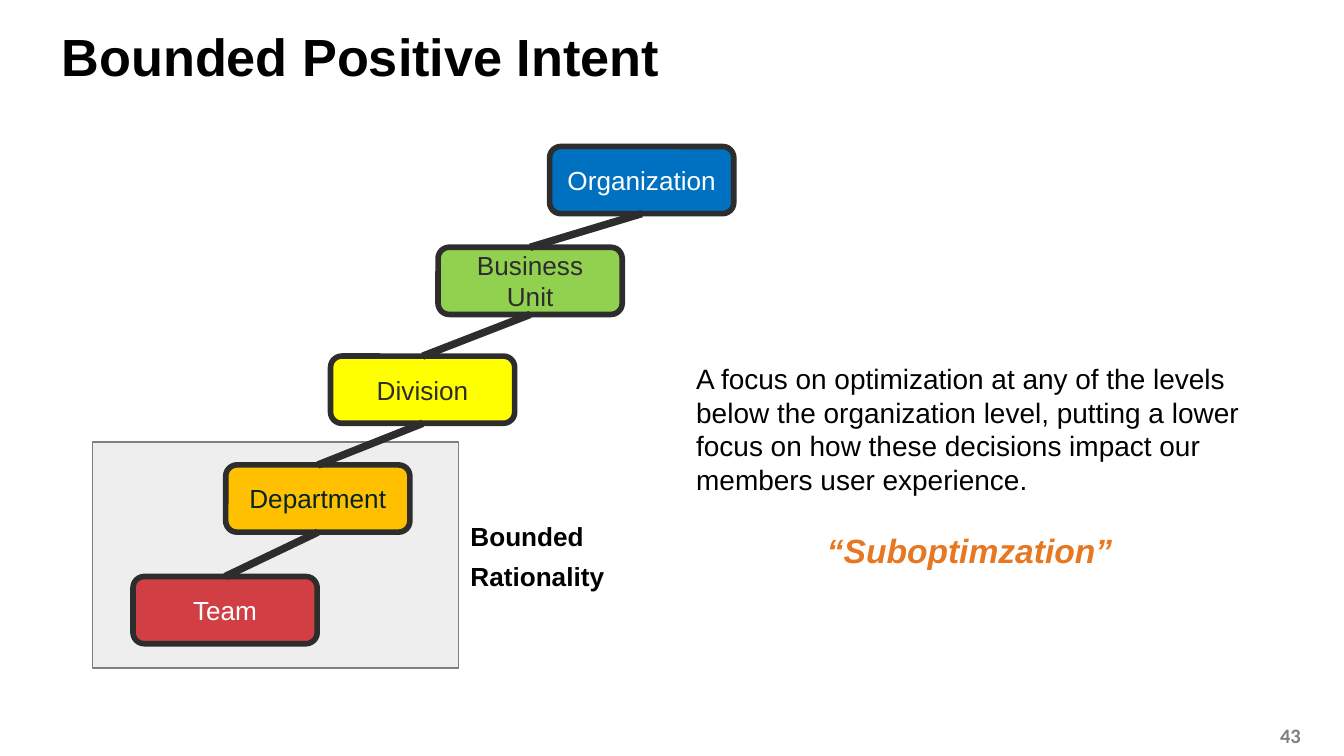
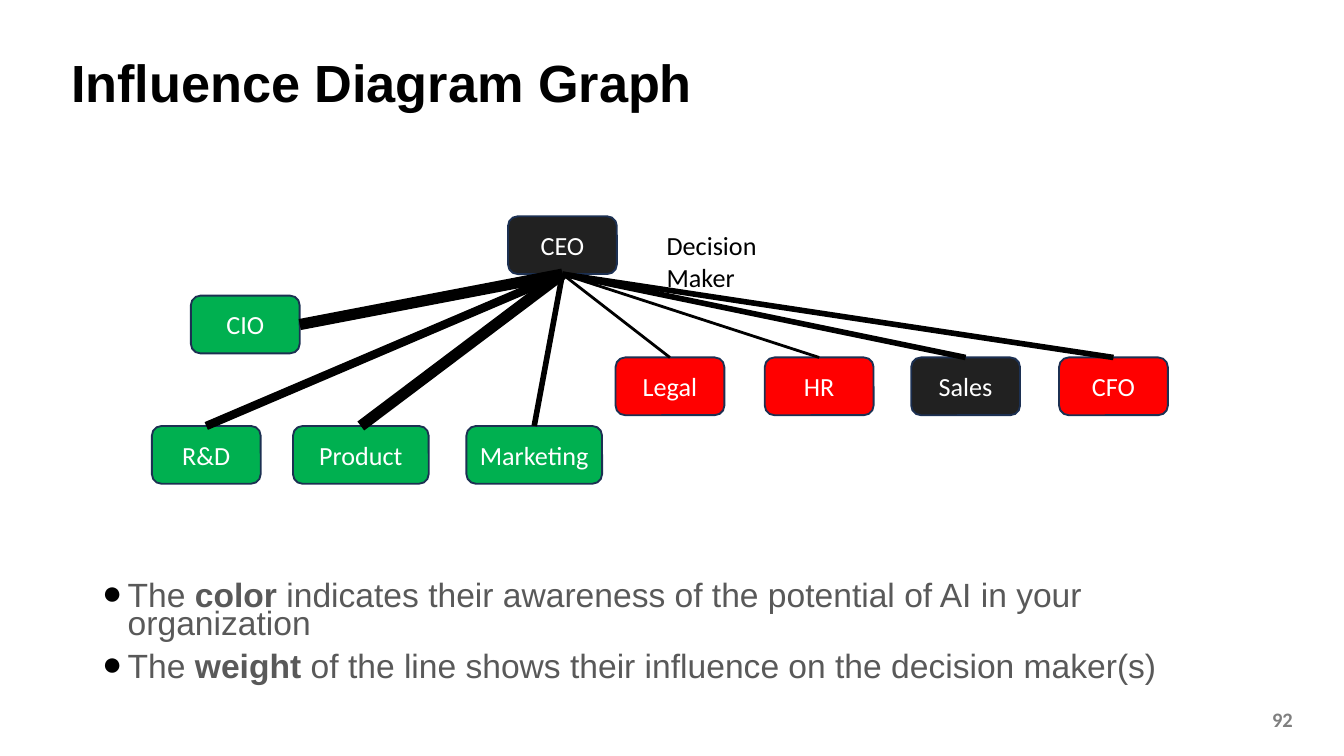
from dataclasses import dataclass
from itertools import pairwise

from lxml.etree import SubElement
from pptx import Presentation
from pptx.dml.color import RGBColor
from pptx.enum.shapes import MSO_CONNECTOR as Connector, MSO_SHAPE as Shape
from pptx.enum.text import MSO_ANCHOR as Anchor, MSO_AUTO_SIZE as AutoSize, PP_ALIGN as Align
from pptx.oxml.ns import qn
from pptx.util import Inches, Pt


@dataclass(frozen=True)
class Theme:
    heading_font: str = "Arial"
    diagram_font: str = "Calibri"
    title_size: int = 28
    accent_size: int = 18
    text_size: int = 15
    label_size: int = 14
    number_size: int = 11
    black: str = "000000"
    white: str = "FFFFFF"
    ink: str = "2D2D2D"
    deep_teal: str = "052429"
    navy: str = "1C3052"
    body_gray: str = "595959"
    gray: str = "7F7F7F"
    pale_gray: str = "EEEEEE"
    orange: str = "E87722"
    blue: str = "0070C0"
    lime: str = "92D050"
    yellow: str = "FFFF00"
    amber: str = "FFC000"
    crimson: str = "D13F44"
    charcoal: str = "212121"
    red: str = "FF0000"
    green: str = "00B050"


THEME = Theme()
INSET = (0.07, 0.04)
NO_INSET = (0, 0)
TOP, LEFT, BOTTOM, RIGHT = range(4)


def rgb(color):
    return RGBColor.from_string(color)


def set_bullet(paragraph, left, hanging):
    """Give the paragraph a black round bullet."""
    properties = paragraph._p.get_or_add_pPr()
    properties.set("marL", str(Inches(left)))
    properties.set("indent", str(-Inches(hanging)))
    bullet_color = SubElement(properties, qn("a:buClr"))
    SubElement(bullet_color, qn("a:srgbClr"), val=THEME.black)
    SubElement(properties, qn("a:buFont"), typeface=THEME.heading_font)
    SubElement(properties, qn("a:buChar"), char="●")


def write(frame, text, size=THEME.label_size, font=THEME.heading_font, color=THEME.black,
          bold=False, italic=False, align=Align.LEFT, spacing=None, before=0, after=0,
          bullet=None):
    """Add one paragraph; parts between ** marks are bold."""
    first = frame.paragraphs[0]
    paragraph = frame.add_paragraph() if first.runs else first
    paragraph.alignment = align
    paragraph.space_before, paragraph.space_after = Pt(before), Pt(after)
    if spacing:
        paragraph.line_spacing = spacing
    if bullet:
        set_bullet(paragraph, *bullet)
    for index, part in enumerate(text.split("**")):
        run = paragraph.add_run()
        run.text = part
        run.font.name, run.font.size = font, Pt(size)
        run.font.bold = bold or index % 2 == 1
        run.font.italic = italic
        run.font.color.rgb = rgb(color)


def set_frame(frame, inset=INSET, anchor=Anchor.TOP, grow=False):
    frame.word_wrap = True
    frame.auto_size = AutoSize.SHAPE_TO_FIT_TEXT if grow else AutoSize.NONE
    frame.margin_left = frame.margin_right = Inches(inset[0])
    frame.margin_top = frame.margin_bottom = Inches(inset[1])
    frame.vertical_anchor = anchor
    return frame


def add_text_frame(slide, place, **layout):
    box = slide.shapes.add_textbox(*map(Inches, place))
    return set_frame(box.text_frame, **layout)


def add_box(slide, place, fill, line, weight, kind=Shape.ROUNDED_RECTANGLE):
    box = slide.shapes.add_shape(kind, *map(Inches, place))
    box.shadow.inherit = False
    box.fill.solid()
    box.fill.fore_color.rgb = rgb(fill)
    box.line.color.rgb = rgb(line)
    box.line.width = Pt(weight)
    return box


def add_node(slide, label, place, fill, line, weight, **text_format):
    node = add_box(slide, place, fill, line, weight)
    frame = set_frame(node.text_frame, anchor=Anchor.MIDDLE)
    write(frame, label, align=Align.CENTER, **text_format)
    return node


def add_link(slide, start, start_side, end, end_side, color, weight):
    link = slide.shapes.add_connector(Connector.STRAIGHT, 0, 0, 0, 0)
    link.begin_connect(start, start_side)
    link.end_connect(end, end_side)
    link.line.color.rgb = rgb(color)
    link.line.width = Pt(weight)
    SubElement(link._element.spPr, qn("a:effectLst"))


def add_title(slide, title, top, height, **layout):
    frame = add_text_frame(slide, (0.46, top, 8.62, height), **layout)
    write(frame, title, size=THEME.title_size, bold=True, spacing=0.9)


def add_slide_number(slide, number, place, inset):
    frame = add_text_frame(slide, place, inset=inset, anchor=Anchor.MIDDLE)
    write(frame, number, size=THEME.number_size, font=THEME.diagram_font,
          color=THEME.gray, bold=True, align=Align.RIGHT)


def build_intent_slide(slide):
    # Bounded area behind the lowest levels
    add_box(slide, (0.69, 3.29, 2.72, 1.68), THEME.pale_gray, THEME.gray, 0.75, Shape.RECTANGLE)
    rationality = add_text_frame(slide, (3.5, 3.87, 1.12, 0.54), inset=NO_INSET, grow=True)
    write(rationality, "Bounded", bold=True)
    write(rationality, "Rationality", bold=True, before=5)

    add_title(slide, "Bounded Positive Intent", 0.23, 0.42, inset=NO_INSET, grow=True)
    add_slide_number(slide, "43", (9.24, 5.32, 0.44, 0.3), NO_INSET)

    # Staircase of levels, highest first
    levels = [
        ("Organization", 4.09, 1.09, THEME.blue, THEME.white),
        ("Business Unit", 3.26, 1.84, THEME.lime, THEME.ink),
        ("Division", 2.46, 2.65, THEME.yellow, THEME.ink),
        ("Department", 1.68, 3.46, THEME.amber, THEME.deep_teal),
        ("Team", 0.99, 4.29, THEME.crimson, THEME.white),
    ]
    steps = [add_node(slide, label, (left, top, 1.37, 0.5), fill, THEME.ink, 3, color=color)
             for label, left, top, fill, color in levels]
    for upper, lower in pairwise(steps):
        add_link(slide, upper, BOTTOM, lower, TOP, THEME.ink, 4)

    # Explanation
    explanation = add_text_frame(slide, (5.11, 2.65, 4.21, 1.64), grow=True)
    write(explanation, "A focus on optimization at any of the levels below the organization level, "
          "putting a lower focus on how these decisions impact our members user experience.",
          size=THEME.text_size)
    write(explanation, "“Suboptimzation”", size=THEME.accent_size, color=THEME.orange,
          bold=True, italic=True, align=Align.CENTER, before=18)


def build_influence_slide(slide):
    add_title(slide, "Influence Diagram Graph", 0.19, 0.9, anchor=Anchor.MIDDLE)

    # Reading guide
    guide = add_text_frame(slide, (0.69, 4.31, 8.52, 0.9))
    guide_format = dict(size=THEME.accent_size, color=THEME.body_gray, spacing=0.7,
                        bullet=(0.19, 0.22))
    write(guide, "The **color** indicates their awareness of the potential of AI "
          "in your organization", **guide_format)
    write(guide, "The **weight** of the line shows their influence on the decision maker(s)",
          before=8, after=12, **guide_format)
    add_slide_number(slide, "92", (7.44, 5.2, 2.25, 0.3), INSET)

    # Decision maker and the people around
    def add_role(label, left, top, fill, width=0.81):
        return add_node(slide, label, (left, top, width, 0.43), fill, THEME.navy, 1,
                        font=THEME.diagram_font, color=THEME.white)

    ceo = add_role("CEO", 3.78, 1.61, THEME.charcoal)
    upper_row, lower_row = 2.66, 3.17
    influencers = [
        (add_role("CIO", 1.42, 2.2, THEME.green), RIGHT, 6),
        (add_role("R&D", 1.13, lower_row, THEME.green), TOP, 4.5),
        (add_role("Product", 2.18, lower_row, THEME.green, 1.01), TOP, 6),
        (add_role("Marketing", 3.47, lower_row, THEME.green, 1.01), TOP, 3),
        (add_role("Legal", 4.58, upper_row, THEME.red), TOP, 1.5),
        (add_role("HR", 5.69, upper_row, THEME.red), TOP, 1.5),
        (add_role("Sales", 6.78, upper_row, THEME.charcoal), TOP, 3),
        (add_role("CFO", 7.88, upper_row, THEME.red), TOP, 3),
    ]
    for role, side, influence in influencers:
        add_link(slide, role, side, ceo, BOTTOM, THEME.black, influence)

    caption = add_text_frame(slide, (4.89, 1.67, 1.34, 0.55), grow=True)
    write(caption, "Decision Maker", font=THEME.diagram_font)


def main():
    deck = Presentation()
    # Widescreen, 16:9
    deck.slide_width = Inches(10)
    deck.slide_height = Inches(10) * 9 // 16
    blank = deck.slide_layouts[6]
    for build in (build_intent_slide, build_influence_slide):
        build(deck.slides.add_slide(blank))
    deck.save("out.pptx")


if __name__ == "__main__":
    main()
